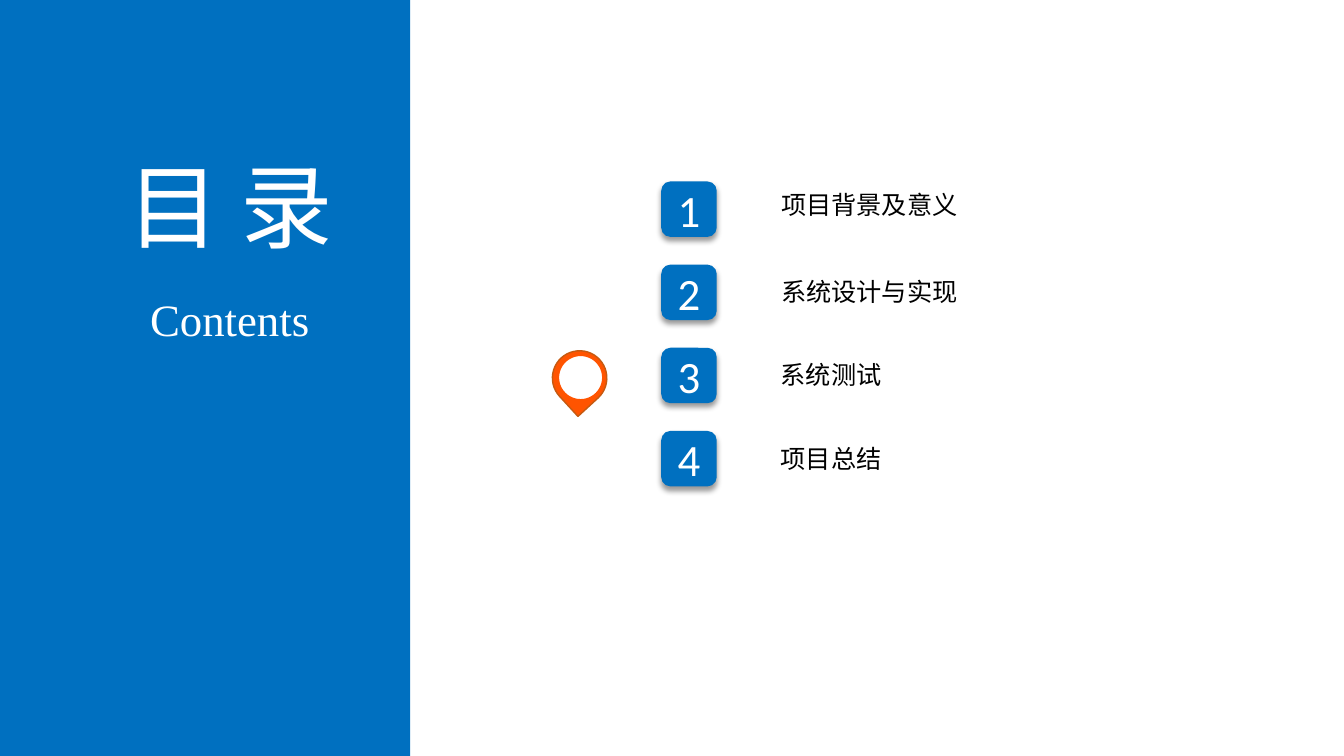
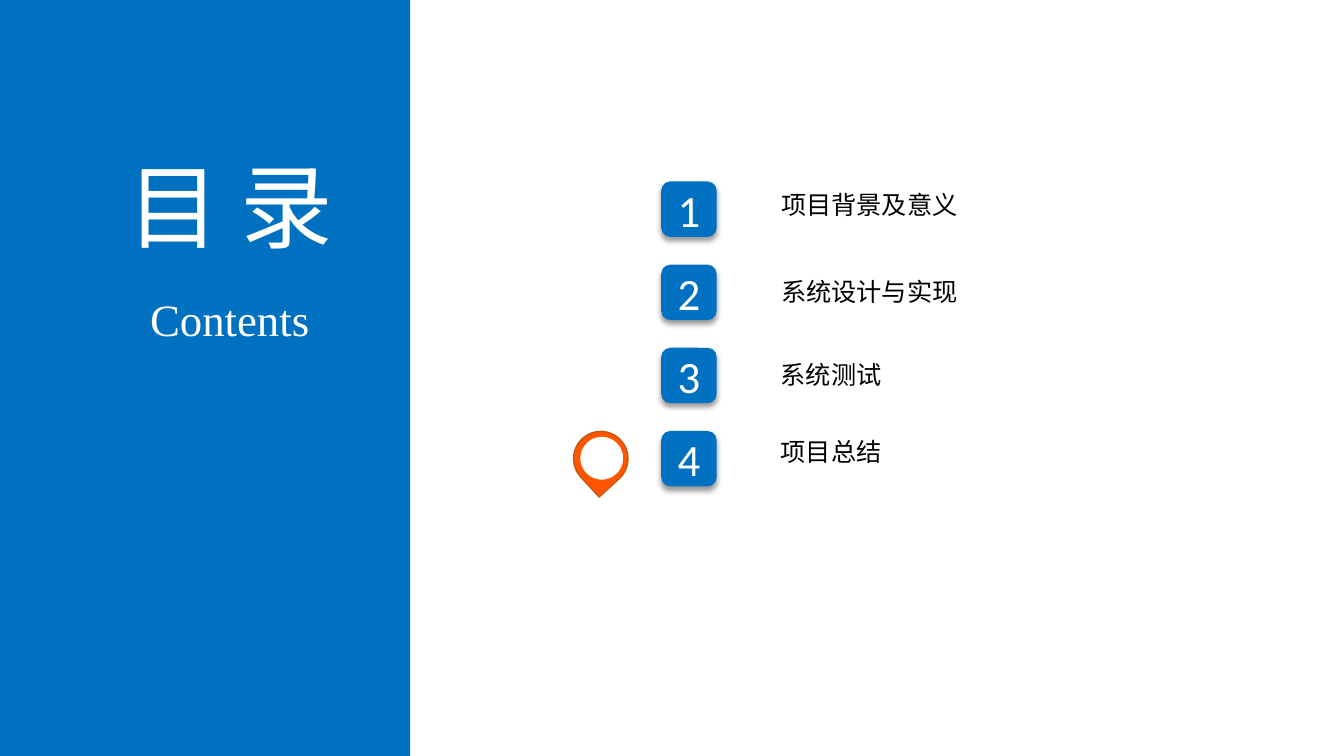
from lxml import etree
from pptx import Presentation
from pptx import util as u
from pptx.dml.color import RGBColor
from pptx.enum import shapes, text
from pptx.oxml import ns

# The grid: 160 columns by 90 rows of square cells
COLUMNS, ROWS = 160, 90
SLIDE_WIDTH, SLIDE_HEIGHT = u.Inches(13.33), u.Inches(7.5)

COLORS = {
    "blue": "0070C0",
    "orange": "FF5400",
    "brown": "C55A11",
    "white": "FFFFFF",
    "black": "000000",
}
CHINESE, NUMBER, ENGLISH = "Noto Sans CJK SC", "Calibri", "Times New Roman"

# Agenda geometry, in cells
TILE_LEFT, TILE_TOP, TILE_SIZE, TILE_PITCH = 78.72, 21.6, 6.6, 9.9
LABEL_LEFT, LABEL_HEIGHT, LABEL_PADDING, CHARACTER_WIDTH = 91.68, 4.8, 2.4, 3.03
PIN_SIZE, HOLE_SIZE = 6.48, 5.28

TOPICS = ["项目背景及意义", "系统设计与实现", "系统测试", "项目总结"]


class Deck:
    """Holds the style and the current slide; lengths are grid cells."""

    def __init__(self):
        self.presentation = Presentation()
        self.presentation.slide_width = SLIDE_WIDTH
        self.presentation.slide_height = SLIDE_HEIGHT
        self.slide = None

    def new_slide(self):
        layout = self.presentation.slide_layouts[6]
        self.slide = self.presentation.slides.add_slide(layout)

    def box(self, left, top, width, height):
        column, row = SLIDE_WIDTH / COLUMNS, SLIDE_HEIGHT / ROWS
        return [round(n) for n in (left * column, top * row, width * column, height * row)]

    def color(self, name):
        return RGBColor.from_string(COLORS[name])

    def set_words(self, shape, words, size, font, color):
        paragraph = shape.text_frame.paragraphs[0]
        paragraph.text = words
        paragraph.alignment = text.PP_ALIGN.CENTER
        for run in paragraph.runs:
            run.font.size = u.Pt(size)
            run.font.color.rgb = self.color(color)
            run.font.name = font
            properties = run.font._element
            etree.SubElement(properties, ns.qn("a:ea"), typeface=font)

    def shape(self, kind, box, fill, line=None, parent=None):
        owner = parent or self.slide
        shape = owner.shapes.add_shape(kind, *self.box(*box))
        shape.shadow.inherit = False
        shape.fill.solid()
        shape.fill.fore_color.rgb = self.color(fill)
        if line:
            shape.line.color.rgb = self.color(line)
            shape.line.width = u.Pt(1)
        else:
            shape.line.fill.background()
        return shape

    def text(self, words, box, size, font, color):
        shape = self.slide.shapes.add_textbox(*self.box(*box))
        shape.text_frame.word_wrap = False
        shape.text_frame.auto_size = text.MSO_AUTO_SIZE.SHAPE_TO_FIT_TEXT
        self.set_words(shape, words, size, font, color)

    def drop_shadow(self, shape):
        effects = shape._element.spPr.find(ns.qn("a:effectLst"))
        shadow = etree.SubElement(
            effects, ns.qn("a:outerShdw"), blurRad=str(u.Pt(4)),
            dist=str(u.Pt(3)), dir="5400000", algn="t", rotWithShape="0")
        shade = etree.SubElement(shadow, ns.qn("a:srgbClr"), val=COLORS["black"])
        etree.SubElement(shade, ns.qn("a:alpha"), val="40000")

    def tile(self, number, top):
        box = (TILE_LEFT, top, TILE_SIZE, TILE_SIZE)
        shape = self.shape(shapes.MSO_SHAPE.ROUNDED_RECTANGLE, box, "blue")
        self.drop_shadow(shape)
        shape.text_frame.vertical_anchor = text.MSO_ANCHOR.MIDDLE
        self.set_words(shape, str(number), 32, NUMBER, "white")

    def label(self, topic, top):
        width = LABEL_PADDING + CHARACTER_WIDTH * len(topic)
        self.text(topic, (LABEL_LEFT, top, width, LABEL_HEIGHT), 18, CHINESE, "black")

    def side_panel(self):
        self.shape(shapes.MSO_SHAPE.RECTANGLE, (0, 0, 48.84, ROWS), "blue")
        self.text("目 录", (12.24, 17.16, 30.24, 14.52), 66, CHINESE, "white")
        self.text("Contents", (16.56, 34.08, 21.6, 7.68), 32, ENGLISH, "white")

    def pin(self, left, top):
        group = self.slide.shapes.add_group_shape()
        drop = self.shape(shapes.MSO_SHAPE.TEAR, (left, top, PIN_SIZE, PIN_SIZE),
                          "orange", "brown", group)
        drop.rotation = 137.5
        self.shape(shapes.MSO_SHAPE.OVAL, (left + 0.72, top + 0.55, HOLE_SIZE, HOLE_SIZE),
                   "white", "orange", group)

    def agenda(self, current, pin_left, pin_drop, label_drops):
        """Contents slide; drops are distances below the top of a tile."""
        self.new_slide()
        tops = [TILE_TOP + TILE_PITCH * index for index in range(len(TOPICS))]
        for number, (topic, top, drop) in enumerate(zip(TOPICS, tops, label_drops), 1):
            self.tile(number, top)
            self.label(topic, top + drop)
        self.side_panel()
        self.pin(pin_left, tops[current - 1] + pin_drop)


def main():
    deck = Deck()
    # Section 3: system testing
    deck.agenda(3, 65.76, 0.36, [0.36, 0.78, 0.84, 0.9])
    # Section 4: project summary
    deck.agenda(4, 68.28, 0.06, [0.36, 0.78, 0.84, 0.06])
    deck.presentation.save("out.pptx")


if __name__ == "__main__":
    main()
